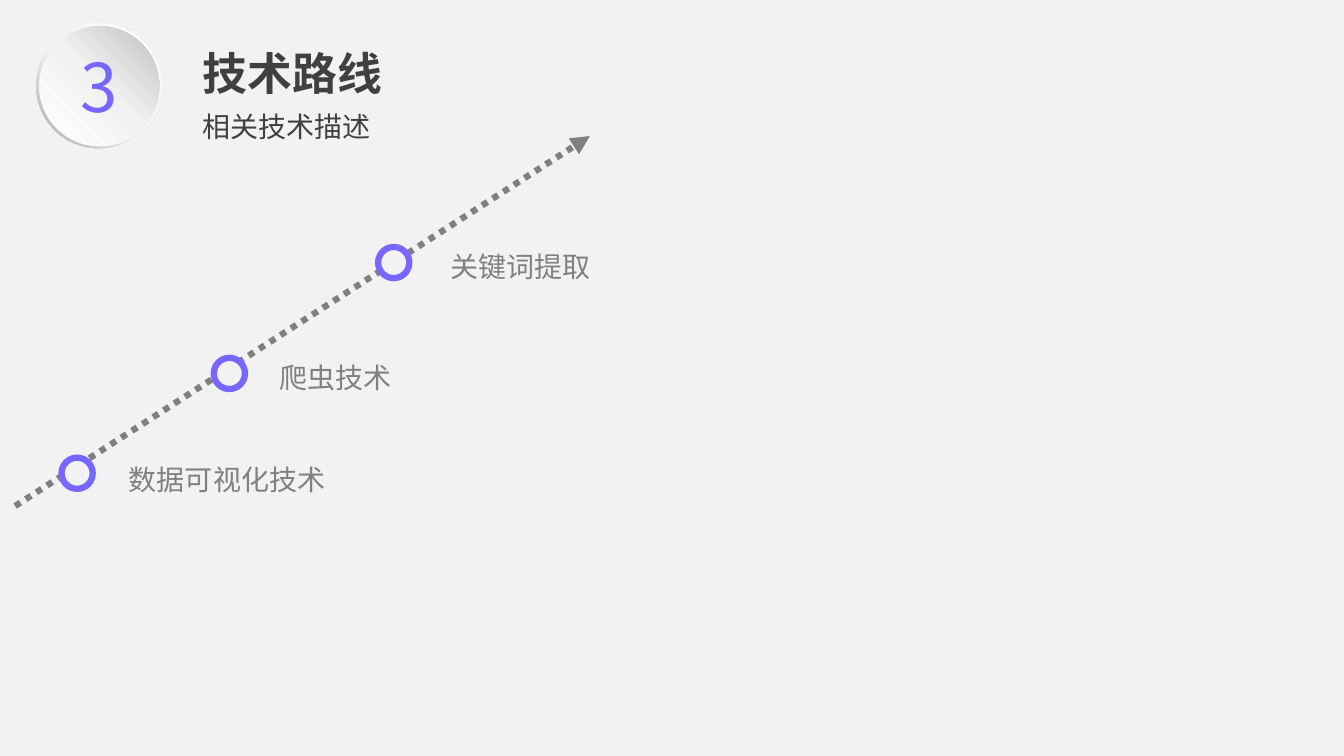
from copy import deepcopy

from pptx import Presentation
from pptx import util as u
from pptx.dml.color import RGBColor
from pptx.enum import dml, shapes, text
from pptx.oxml.ns import qn
from lxml import etree

Inches = u.Inches
COLOURS = {
    "background": "F2F2F2",
    "heading": "404040",
    "label": "808080",
    "accent": "7766FF",
    "white": "FFFFFF",
    "rim": "A6A6A6",
    "disc": "BFBFBF",
}
FONT = "Noto Sans CJK SC"


def rgb(name):
    return RGBColor.from_string(COLOURS[name])


def write(shape, words, size=20, colour="label", font=FONT, bold=False, wrap=True):
    """Fill a text box or placeholder with one left-aligned, top-anchored line."""
    frame = shape.text_frame
    frame.word_wrap = wrap
    frame.auto_size = text.MSO_AUTO_SIZE.SHAPE_TO_FIT_TEXT
    frame.vertical_anchor = text.MSO_ANCHOR.TOP
    paragraph = frame.paragraphs[0]
    paragraph.alignment = text.PP_ALIGN.LEFT
    run = paragraph.add_run()
    run.text = words
    run.font.size = u.Pt(size)
    run.font.bold = bold
    run.font.name = font
    run.font.color.rgb = rgb(colour)
    east_asian = etree.SubElement(run.font._element, qn("a:ea"))
    east_asian.set("typeface", font)


presentation = Presentation()
presentation.slide_width = Inches(13.33)
presentation.slide_height = Inches(7.5)
slide = presentation.slides.add_slide(presentation.slide_layouts[5])
slide.background.fill.solid()
slide.background.fill.fore_color.rgb = rgb("background")

# Heading
title = slide.shapes.title
title.left, title.top = Inches(1.91), Inches(0.4)
title.width, title.height = Inches(2), Inches(0.64)
write(title, "技术路线", size=32, colour="heading", font="Arial", bold=True, wrap=False)

subtitle = slide.shapes.add_textbox(Inches(1.91), Inches(1.04), Inches(2.83), Inches(0.44))
write(subtitle, "相关技术描述", colour="heading")

# Section badge: a rim and a disc with opposite gradients
badge = slide.shapes.add_group_shape()
badge_parts = [
    (shapes.MSO_SHAPE.DONUT, 0.36, 0.23, 1.24, 225, 0.55, "rim"),
    (shapes.MSO_SHAPE.OVAL, 0.39, 0.26, 1.19, 45, 0.51, "disc"),
]
for kind, left, top, size, angle, middle, dark in badge_parts:
    part = badge.shapes.add_shape(kind, Inches(left), Inches(top), Inches(size), Inches(size))
    part.shadow.inherit = False
    part.line.fill.background()
    if kind == shapes.MSO_SHAPE.DONUT:
        part.adjustments[0] = 0.049
    part.fill.gradient()
    part.fill.gradient_angle = angle
    stop_list = part._element.spPr.find(".//" + qn("a:gsLst"))
    stop_list.insert(1, deepcopy(stop_list[0]))
    stops = zip(part.fill.gradient_stops, (0, middle, 1), ("white", "background", dark))
    for stop, position, colour in stops:
        stop.position = position
        stop.color.rgb = rgb(colour)

number = slide.shapes.add_textbox(Inches(0.7), Inches(0.4), Inches(0.48), Inches(0.91))
write(number, "3", size=48, colour="accent")

# Dotted route arrow
route = slide.shapes.add_connector(
    shapes.MSO_CONNECTOR.STRAIGHT, Inches(0.15), Inches(5.02), Inches(5.85), Inches(1.35)
)
route.line.color.rgb = rgb("label")
route.line.width = u.Pt(4.5)
route.line.dash_style = dml.MSO_LINE.ROUND_DOT
etree.SubElement(route.line._get_or_add_ln(), qn("a:tailEnd")).set("type", "triangle")
etree.SubElement(route._element.spPr, qn("a:effectLst"))

# Milestones: marker left and top, label left, top and width
milestones = [
    ("数据可视化技术", 0.61, 4.54, 1.18, 4.54, 2.49),
    ("爬虫技术", 2.12, 3.55, 2.67, 3.53, 2.79),
    ("关键词提取", 3.75, 2.45, 4.37, 2.43, 2.79),
]
for words, left, top, label_left, label_top, label_width in milestones:
    marker = slide.shapes.add_shape(
        shapes.MSO_SHAPE.OVAL, Inches(left), Inches(top), Inches(0.31), Inches(0.31)
    )
    marker.shadow.inherit = False
    marker.fill.solid()
    marker.fill.fore_color.rgb = rgb("background")
    marker.line.color.rgb = rgb("accent")
    marker.line.width = u.Pt(4.5)
    label = slide.shapes.add_textbox(
        Inches(label_left), Inches(label_top), Inches(label_width), Inches(0.44)
    )
    write(label, words)

presentation.save("out.pptx")
